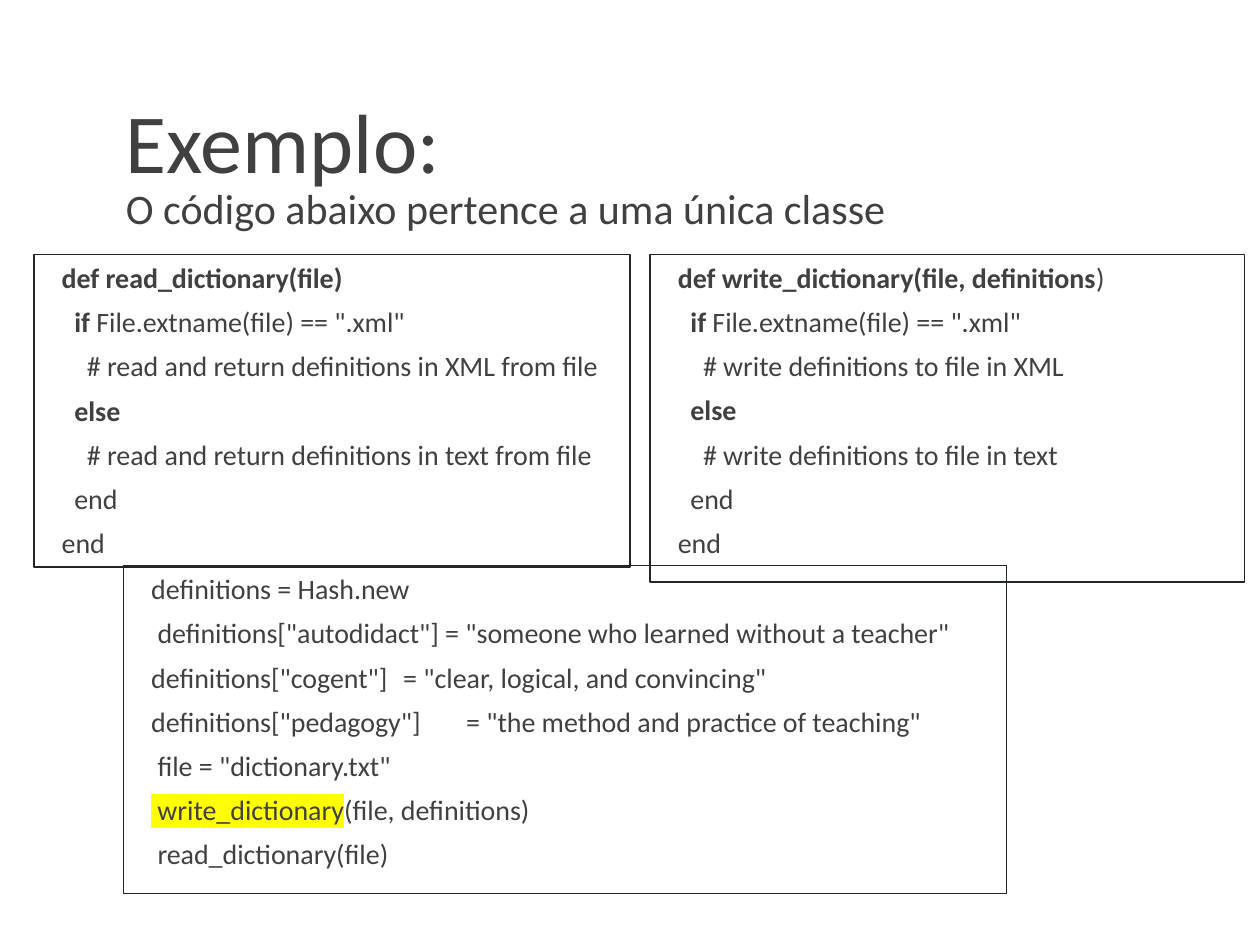
from dataclasses import dataclass

from lxml.etree import SubElement
from pptx import Presentation
from pptx.dml.color import RGBColor
from pptx.enum.shapes import MSO_SHAPE
from pptx.enum.text import MSO_ANCHOR, PP_ALIGN
from pptx.oxml.ns import qn
from pptx.util import Inches, Pt


@dataclass(frozen=True)
class Theme:
    font: str = "Calibri"
    ink: str = "404040"
    border: str = "202729"
    marker: str = "FFFF00"
    title_size: int = 48
    subtitle_size: int = 24
    code_size: int = 16


@dataclass(frozen=True)
class Line:
    text: str
    depth: int = 0
    bold: str = ""
    marked: str = ""
    tab: float = 0


class SlideBuilder:
    def __init__(self, slide, theme):
        self.slide = slide
        self.theme = theme

    def style_run(self, run, size, bold=False):
        run.font.name = self.theme.font
        run.font.size = Pt(size)
        run.font.bold = bold
        run.font.color.rgb = RGBColor.from_string(self.theme.ink)

    def mark_run(self, run):
        properties = run.font._element
        highlight = SubElement(properties, qn("a:highlight"))
        SubElement(highlight, qn("a:srgbClr"), val=self.theme.marker)
        properties.find(qn("a:solidFill")).addnext(highlight)

    def indent(self, paragraph, line):
        properties = paragraph._p.get_or_add_pPr()
        properties.set("marL", str(Inches(0.22 + 0.05 * line.depth)))
        properties.set("indent", "0")
        if line.tab:
            stops = SubElement(properties, qn("a:tabLst"))
            SubElement(stops, qn("a:tab"), pos=str(Inches(line.tab)), algn="l")

    def title(self, heading, subtitle, left, top, width, height):
        box = self.slide.shapes.add_textbox(
            Inches(left), Inches(top), Inches(width), Inches(height))
        frame = box.text_frame
        frame.word_wrap = True
        frame.vertical_anchor = MSO_ANCHOR.BOTTOM
        frame.text = f"{heading}\v{subtitle}"
        paragraph = frame.paragraphs[0]
        paragraph.line_spacing = 0.85
        sizes = (self.theme.title_size, self.theme.subtitle_size)
        for run, size in zip(paragraph.runs, sizes):
            self.style_run(run, size)

    def code_box(self, lines, left, top, width, height):
        box = self.slide.shapes.add_shape(
            MSO_SHAPE.RECTANGLE,
            Inches(left), Inches(top), Inches(width), Inches(height))
        box.shadow.inherit = False
        box.fill.background()
        box.line.color.rgb = RGBColor.from_string(self.theme.border)
        box.line.width = Pt(0.75)
        frame = box.text_frame
        frame.word_wrap = True
        frame.vertical_anchor = MSO_ANCHOR.TOP
        frame.margin_left = frame.margin_right = 0
        for number, line in enumerate(lines):
            paragraph = frame.add_paragraph() if number else frame.paragraphs[0]
            paragraph.alignment = PP_ALIGN.LEFT
            paragraph.space_before = Pt(6 if number else 0)
            self.indent(paragraph, line)
            for part in filter(None, (line.bold, line.marked, line.text)):
                run = paragraph.add_run()
                run.text = part
                self.style_run(run, self.theme.code_size, part == line.bold)
                if part == line.marked:
                    self.mark_run(run)


def dictionary_method(signature, closing, xml_comment, text_comment):
    return [
        Line(closing, bold=signature),
        Line('File.extname(file) == ".xml"', 2, bold="if "),
        Line(xml_comment, 4),
        Line("", 2, bold="else"),
        Line(text_comment, 4),
        Line("end", 2),
        Line("end"),
    ]


def main():
    presentation = Presentation()
    presentation.slide_width = Inches(10)
    presentation.slide_height = Inches(7.5)
    slide = presentation.slides.add_slide(presentation.slide_layouts[6])
    builder = SlideBuilder(slide, Theme())

    builder.title("Exemplo:", "O código abaixo pertence a uma única classe",
                  0.9, 0.31, 8.25, 1.59)

    reader = dictionary_method(
        "def read_dictionary(file)", "",
        "# read and return definitions in XML from file",
        "# read and return definitions in text from file")
    writer = dictionary_method(
        "def write_dictionary(file, definitions", ")",
        "# write definitions to file in XML",
        "# write definitions to file in text")
    usage = [
        Line("definitions = Hash.new"),
        Line('definitions["autodidact"] = "someone who learned without a teacher"', 1),
        Line('definitions["cogent"]\t= "clear, logical, and convincing"', tab=2.35),
        Line('definitions["pedagogy"]\t= "the method and practice of teaching"', tab=2.51),
        Line('file = "dictionary.txt"', 1),
        Line("(file, definitions)", marked="\N{NO-BREAK SPACE}write_dictionary"),
        Line("read_dictionary(file)", 1),
    ]

    builder.code_box(reader, 0.27, 2.02, 4.73, 2.48)
    builder.code_box(writer, 5.16, 2.02, 4.72, 2.6)
    builder.code_box(usage, 0.98, 4.49, 7.01, 2.6)

    presentation.save("out.pptx")


if __name__ == "__main__":
    main()
